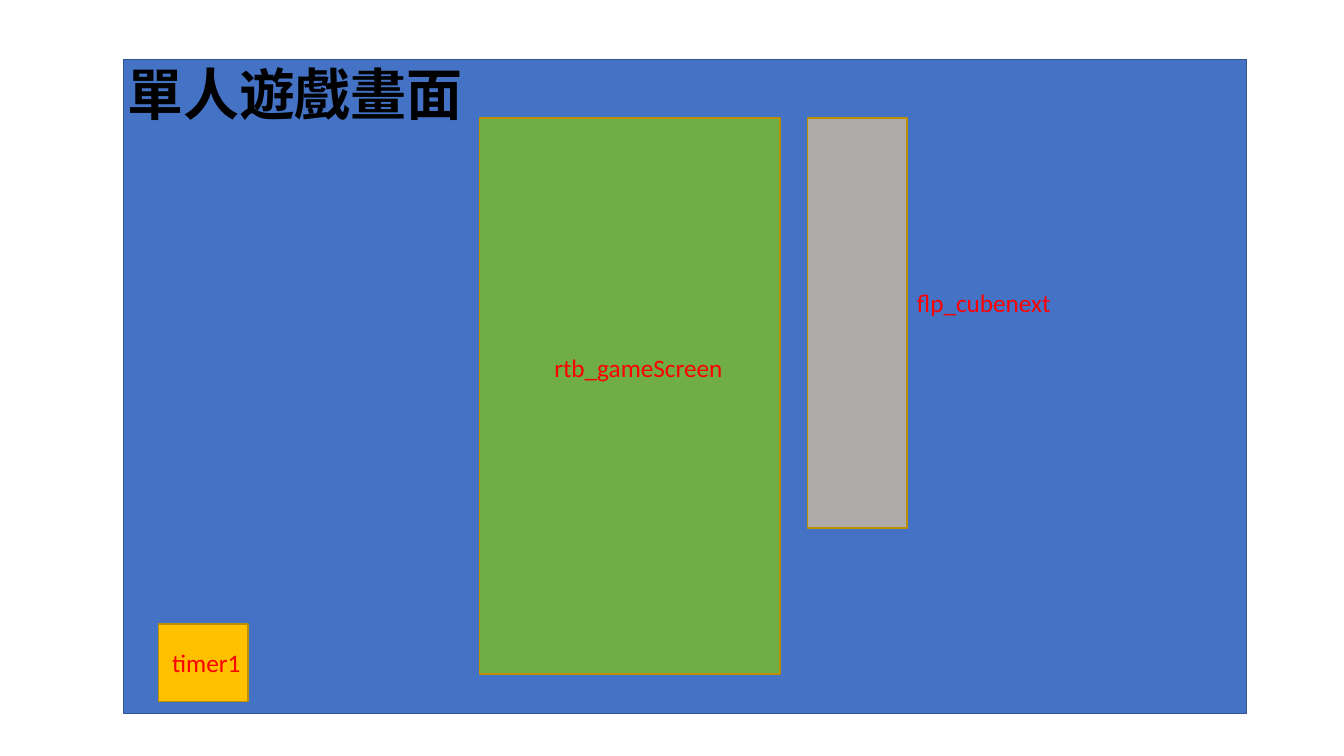
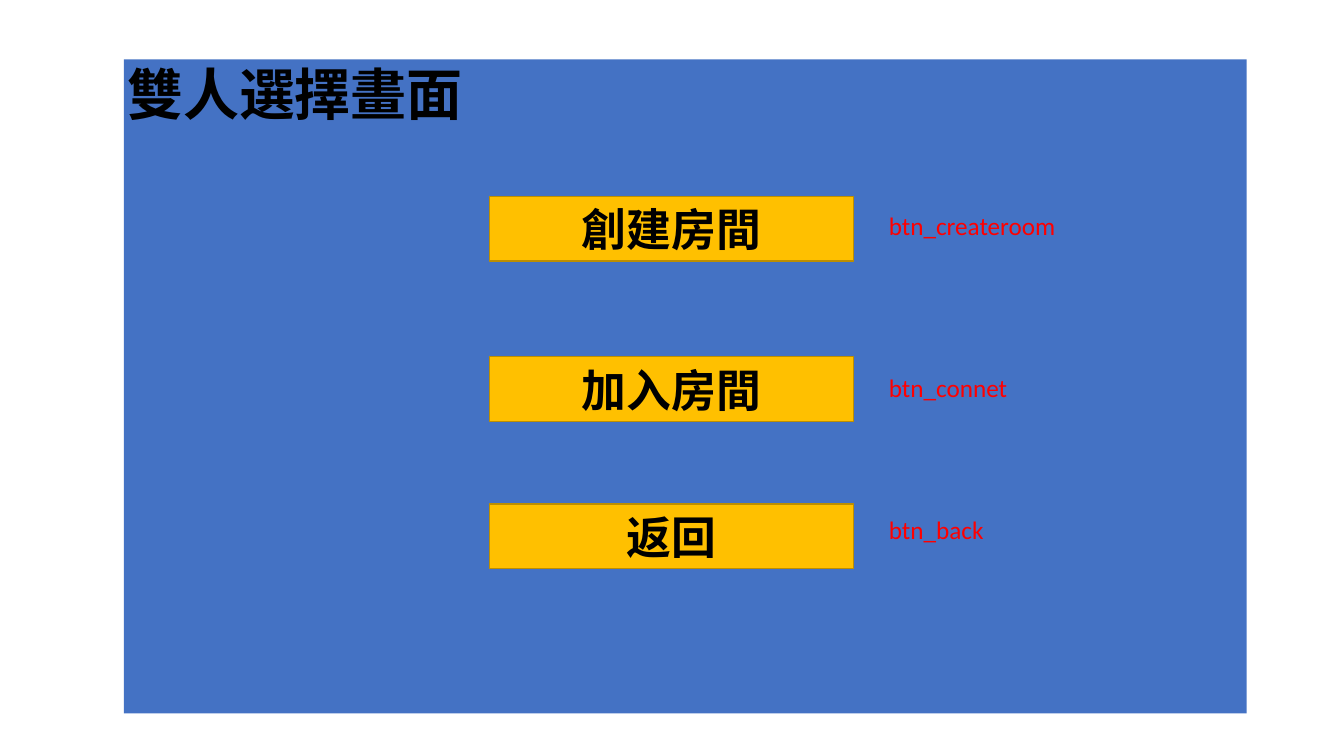
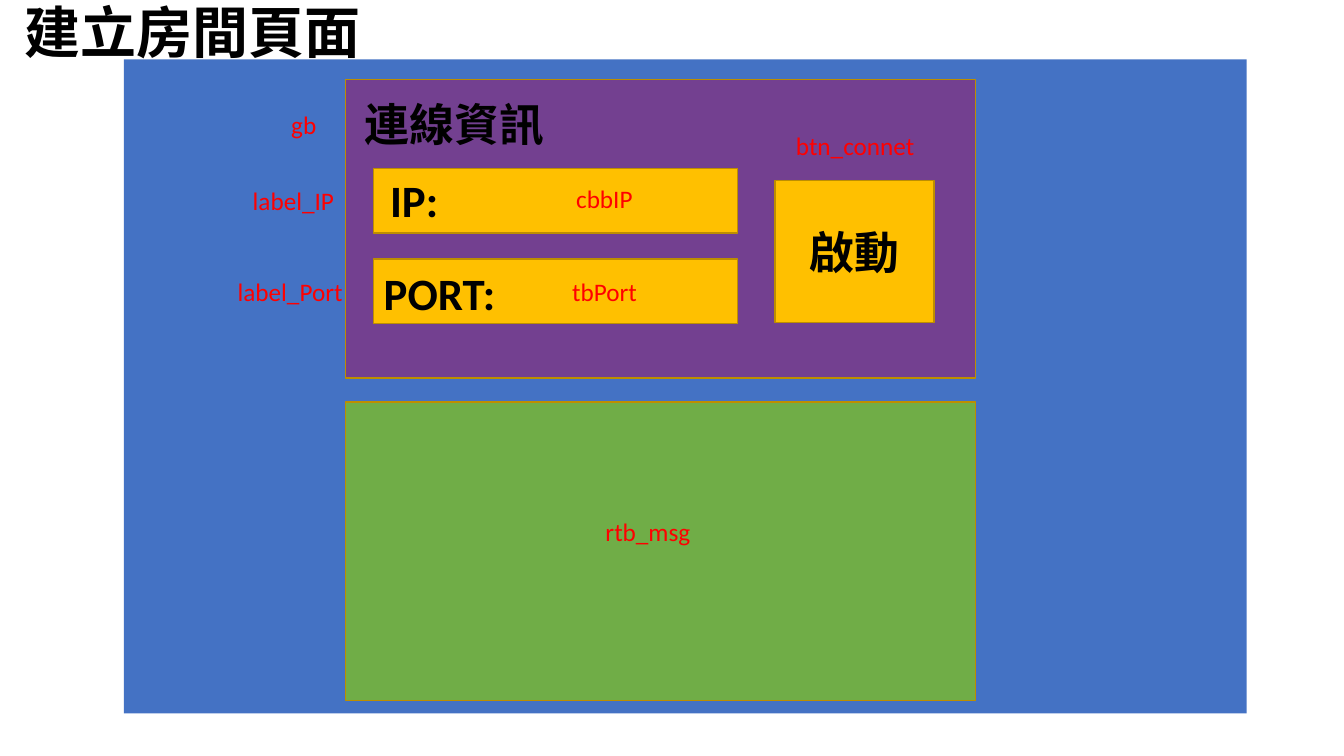
"""Build three wireframe slides for the screens of a two-player block game."""
import pptx
import pptx.dml.color
import pptx.enum.shapes
import pptx.enum.text
import pptx.util

Cm = pptx.util.Cm
Pt = pptx.util.Pt
FONT = "Calibri"
HUES = {
    "panel": "4472C4",
    "rim": "325491",
    "screen": "70AD47",
    "queue": "AFABAB",
    "group": "734090",
    "button": "FFC000",
    "edge": "BD8E00",
    "name": "FF0000",
    "ink": "000000",
}
FIELD = (9.17, 1.63)
GROUP = (15.88, 7.52)


def tint(key):
    """Return the named colour."""
    return pptx.dml.color.RGBColor.from_string(HUES[key])


def write(frame, text, size, hue="ink", bold=True, align="LEFT"):
    """Put one formatted line of text into a frame."""
    frame.text = text
    line = frame.paragraphs[0]
    line.alignment = getattr(pptx.enum.text.PP_ALIGN, align)
    line.font.name = FONT
    line.font.size = Pt(size)
    line.font.bold = bold
    line.font.color.rgb = tint(hue)


def box(slide, left, top, size, fill, edge="edge"):
    """Draw a flat rectangle, outlined if an edge is named."""
    kind = pptx.enum.shapes.MSO_SHAPE.RECTANGLE
    shape = slide.shapes.add_shape(kind, Cm(left), Cm(top), *map(Cm, size))
    shape.shadow.inherit = False
    shape.fill.solid()
    shape.fill.fore_color.rgb = tint(fill)
    if edge:
        shape.line.color.rgb = tint(edge)
        shape.line.width = Pt(1)
    else:
        shape.line.fill.background()
    return shape


def button(slide, text, left, top, size=FIELD):
    """Draw a button with a centred caption."""
    shape = box(slide, left, top, size, "button")
    shape.text_frame.vertical_anchor = pptx.enum.text.MSO_ANCHOR.MIDDLE
    write(shape.text_frame, text, 32, align="CENTER")


def note(slide, left, top, width, height, wrap):
    """Add a text box and return its frame."""
    area = slide.shapes.add_textbox(Cm(left), Cm(top), Cm(width), Cm(height))
    area.text_frame.word_wrap = wrap
    return area.text_frame


def label(slide, text, left, top, width, wrap=False):
    """Add the red name of a control."""
    write(note(slide, left, top, width, 1.02, wrap), text, 18, "name", False)


def head(slide, text, left, top, width):
    """Add a bold black caption."""
    write(note(slide, left, top, width, 1.63, False), text, 32)


def page(deck, text, left=2.95, top=1.37, edge=None):
    """Add a slide with the blue window and its title on top."""
    slide = deck.slides.add_slide(deck.slide_layouts[5])
    box(slide, 3.12, 1.5, (28.3, 16.48), "panel", edge)
    title = slide.shapes.title
    title.left, title.top = Cm(left), Cm(top)
    title.width, title.height = Cm(9.07), Cm(1.96)
    frame = title.text_frame
    frame.word_wrap = False
    frame.auto_size = pptx.enum.text.MSO_AUTO_SIZE.NONE
    frame.vertical_anchor = pptx.enum.text.MSO_ANCHOR.TOP
    write(frame, text, 40)
    slide.shapes.element.append(title.element)
    return slide


def solo(deck):
    """Build the single-player screen."""
    slide = page(deck, "單人遊戲畫面", edge="rim")
    box(slide, 12.09, 2.97, (7.57, 14.02), "screen")
    box(slide, 20.35, 2.97, (2.51, 10.34), "queue")
    box(slide, 3.99, 15.72, (2.26, 1.96), "button")
    label(slide, "rtb_gameScreen", 13.72, 8.76, 4.8)
    label(slide, "flp_cubenext", 22.86, 7.11, 3.94)
    label(slide, "timer1", 4.09, 16.18, 2.26)


def choice(deck):
    """Build the two-player menu."""
    slide = page(deck, "雙人選擇畫面")
    rows = [
        ("創建房間", 4.95, "btn_createroom", 5.18, 4.75),
        ("加入房間", 8.99, "btn_connet", 9.25, 3.53),
        ("返回", 12.7, "btn_back", 12.83, 2.92),
    ]
    for text, top, name, level, width in rows:
        button(slide, text, 12.34, top)
        label(slide, name, 22.15, level, width)


def room(deck):
    """Build the room creation screen."""
    slide = page(deck, "建立房間頁面", 0.36, -0.18)
    box(slide, 8.71, 2.01, GROUP, "group")
    box(slide, 8.71, 10.13, GROUP, "screen")
    for top in (4.24, 6.53):
        box(slide, 9.42, top, FIELD, "button")
    button(slide, "啟動", 19.53, 4.55, (4.01, 3.58))
    head(slide, "連線資訊", 8.94, 2.31, 5.08)
    head(slide, "IP:", 9.58, 4.24, 1.73)
    head(slide, "PORT:", 9.42, 6.58, 3.35)
    label(slide, "gb", 7.09, 2.62, 1.14)
    label(slide, "label_IP", 6.12, 4.55, 2.59)
    label(slide, "label_Port", 5.74, 6.83, 3.18)
    label(slide, "cbbIP", 14.27, 4.5, 1.96)
    label(slide, "tbPort", 14.17, 6.83, 2.16)
    label(slide, "btn_connet", 19.81, 3.15, 3.53)
    label(slide, "rtb_msg", 15.01, 12.88, 4.8, True)


def main():
    """Build and save the deck."""
    deck = pptx.Presentation()
    deck.slide_width, deck.slide_height = Cm(33.87), Cm(19.05)
    for build in (solo, choice, room):
        build(deck)
    deck.save("out.pptx")


main()
